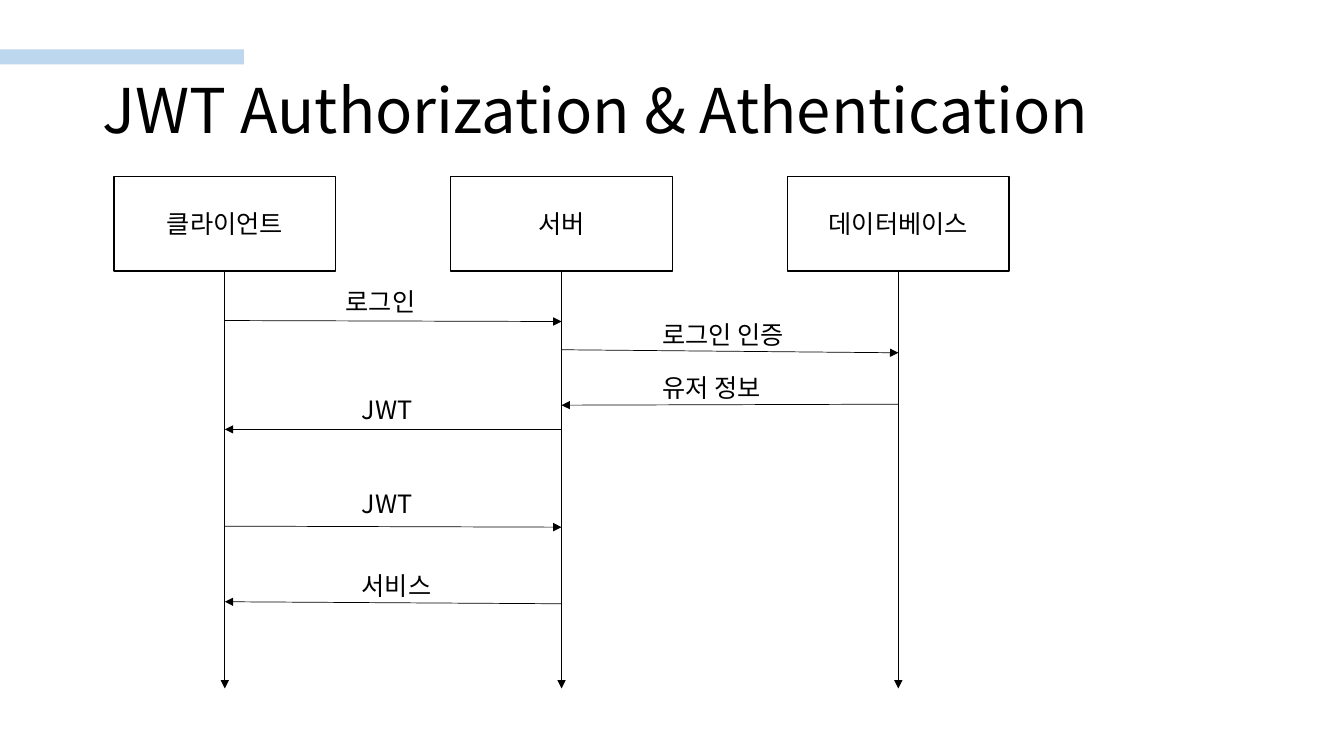
from pptx import Presentation
from pptx.dml.color import RGBColor
from pptx.enum.shapes import MSO_CONNECTOR as CONNECTOR, MSO_SHAPE as SHAPE
from pptx.enum.text import MSO_ANCHOR as ANCHOR, MSO_AUTO_SIZE as AUTO_SIZE, PP_ALIGN as ALIGN
from pptx.oxml.ns import qn
from pptx.util import Inches, Pt
from lxml.etree import SubElement

COLORS = {"ink": "000000", "accent": "BDD7EE"}
FONT = "Noto Sans CJK KR"

# Participants stand at equal steps
ACTORS = ["클라이언트", "서버", "데이터베이스"]
ACTOR_LEFT, ACTOR_TOP, ACTOR_STEP = 1.13, 1.75, 3.34
ACTOR_WIDTH, ACTOR_HEIGHT = 2.2, 0.94
LIFELINE_END = 6.83
CLIENT, SERVER, DATABASE = range(3)

# Sender, receiver, start y, end y, label, label left, top, width
MESSAGES = [
    (CLIENT, SERVER, 3.18, 3.19, "로그인", 3.33, 2.79, 1.52),
    (SERVER, DATABASE, 3.47, 3.5, "로그인 인증", 6.47, 3.12, 1.77),
    (DATABASE, SERVER, 4.01, 4.02, "유저 정보", 6.47, 3.64, 1.77),
    (SERVER, CLIENT, 4.26, 4.26, "JWT", 3.49, 3.86, 1.77),
    (CLIENT, SERVER, 5.22, 5.23, "JWT", 3.49, 4.8, 1.77),
    (SERVER, CLIENT, 5.99, 5.97, "서비스", 3.49, 5.61, 1.14),
]


def color(name):
    return RGBColor.from_string(COLORS[name])


def actor_center(index):
    return ACTOR_LEFT + index * ACTOR_STEP + ACTOR_WIDTH / 2


def add_run(para, text, size):
    span = para.add_run()
    span.text = text
    span.font.size = Pt(size)
    span.font.name = FONT
    span.font.color.rgb = color("ink")
    SubElement(span.font._element, qn("a:ea")).set("typeface", FONT)


def add_text(page, left, top, width, height, text, size=18):
    box = page.shapes.add_textbox(Inches(left), Inches(top), Inches(width), Inches(height))
    box.text_frame.word_wrap = True
    add_run(box.text_frame.paragraphs[0], text, size)
    return box.text_frame


def add_rectangle(page, left, top, width, height):
    box = page.shapes.add_shape(
        SHAPE.RECTANGLE, Inches(left), Inches(top), Inches(width), Inches(height))
    box.shadow.inherit = False
    return box


def add_bar(page):
    bar = add_rectangle(page, 0, 0.49, 2.42, 0.15)
    bar.fill.solid()
    bar.fill.fore_color.rgb = color("accent")
    bar.line.fill.background()


def add_title(page, text):
    frame = add_text(page, 0.92, 0.4, 11.5, 1.45, text, 44)
    frame.vertical_anchor = ANCHOR.MIDDLE
    frame.paragraphs[0].line_spacing = 0.9


def add_arrow(page, start_x, start_y, end_x, end_y):
    arrow = page.shapes.add_connector(
        CONNECTOR.STRAIGHT, Inches(start_x), Inches(start_y), Inches(end_x), Inches(end_y))
    arrow.line.width = Pt(0.5)
    arrow.line.color.rgb = color("ink")
    SubElement(arrow.line._get_or_add_ln(), qn("a:tailEnd")).set("type", "triangle")
    SubElement(arrow._element.spPr, qn("a:effectLst"))
    return arrow


def add_actor(page, index, name):
    box = add_rectangle(
        page, ACTOR_LEFT + index * ACTOR_STEP, ACTOR_TOP, ACTOR_WIDTH, ACTOR_HEIGHT)
    box.fill.background()
    box.line.color.rgb = color("ink")
    box.line.width = Pt(1)
    box.text_frame.vertical_anchor = ANCHOR.MIDDLE
    para = box.text_frame.paragraphs[0]
    para.alignment = ALIGN.CENTER
    add_run(para, name, 18)

    # Lifeline from the bottom of the box
    center = actor_center(index)
    lifeline = add_arrow(page, center, ACTOR_TOP + ACTOR_HEIGHT, center, LIFELINE_END)
    lifeline.begin_connect(box, 2)


def add_message(page, sender, receiver, start_y, end_y, label, left, top, width):
    add_arrow(page, actor_center(sender), start_y, actor_center(receiver), end_y)
    frame = add_text(page, left, top, width, 0.4, label)
    frame.auto_size = AUTO_SIZE.SHAPE_TO_FIT_TEXT


def main():
    deck = Presentation()
    deck.slide_width, deck.slide_height = Inches(13.33), Inches(7.5)
    page = deck.slides.add_slide(deck.slide_layouts[6])

    # Heading
    add_bar(page)
    add_title(page, "JWT Authorization & Athentication")

    # Sequence diagram
    for index, name in enumerate(ACTORS):
        add_actor(page, index, name)
    for message in MESSAGES:
        add_message(page, *message)

    deck.save("out.pptx")


if __name__ == "__main__":
    main()
